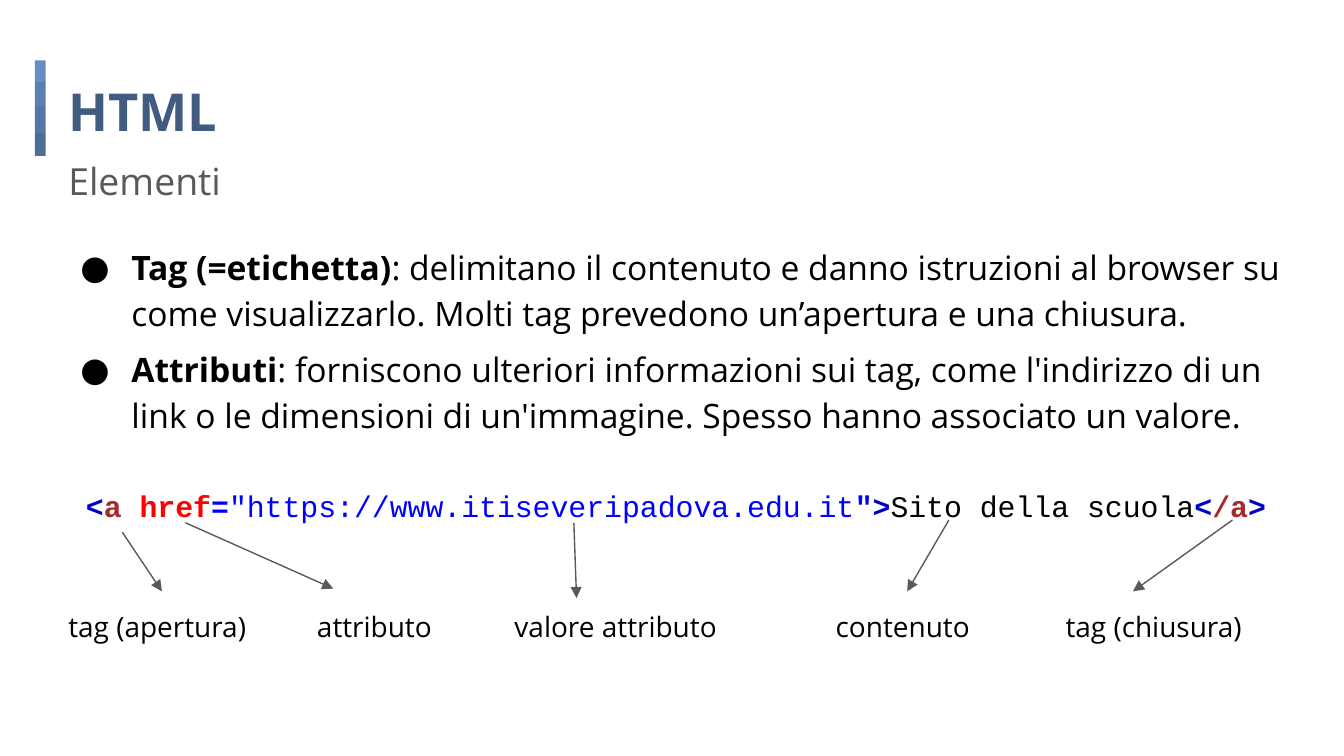
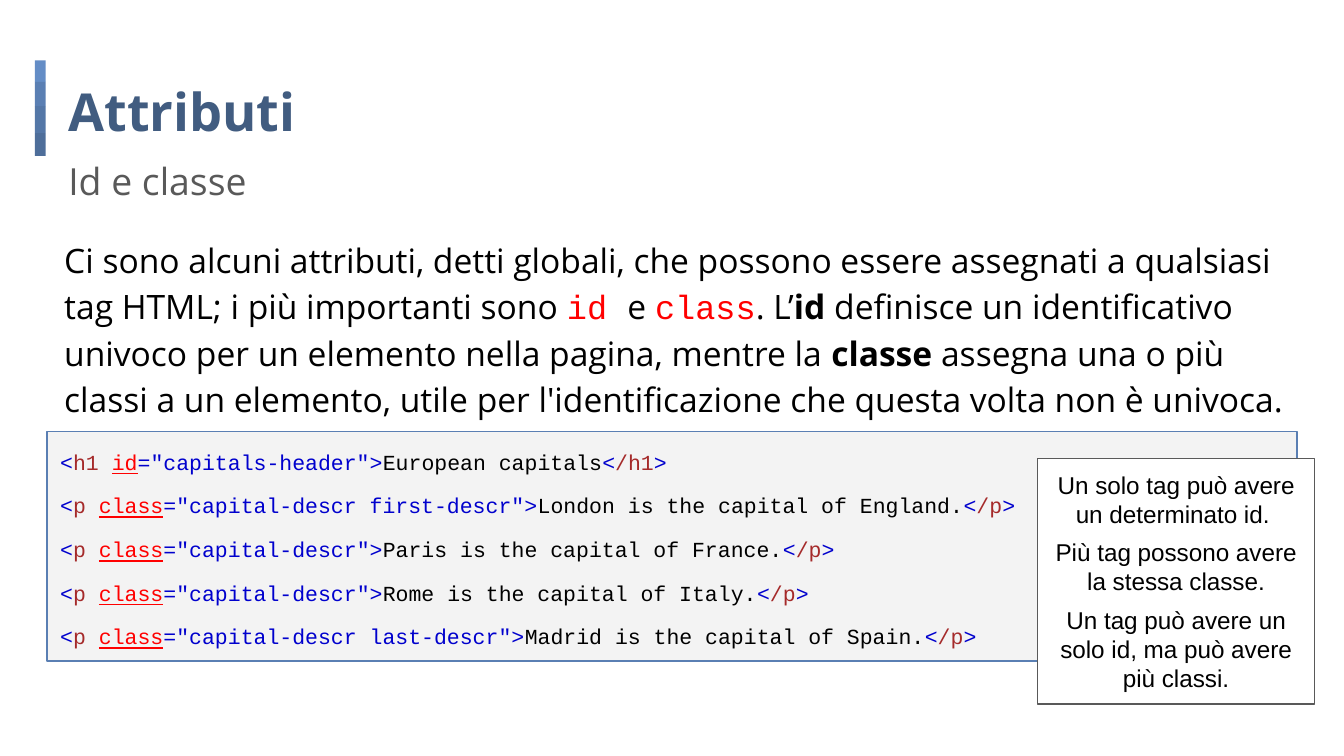
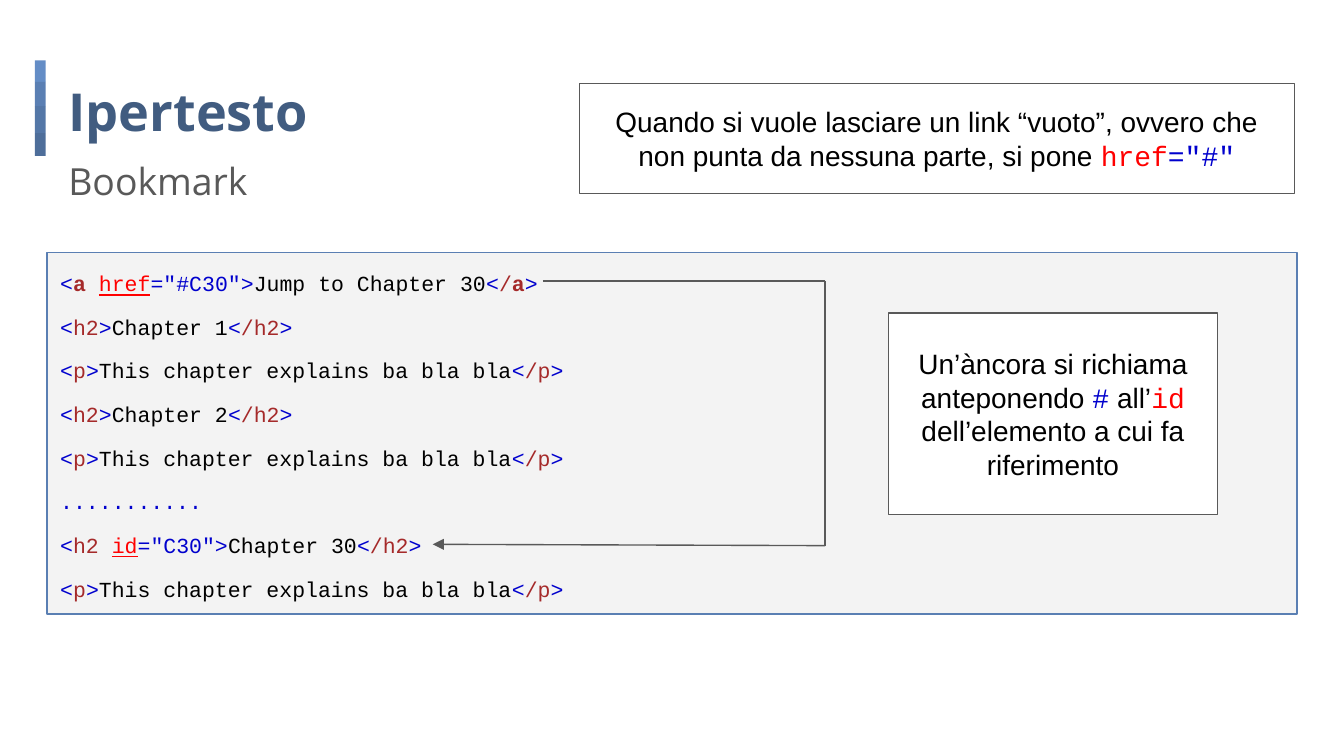
from pptx import Presentation
from pptx.dml.color import RGBColor as RGB
from pptx.enum.shapes import MSO_CONNECTOR as LINK, MSO_SHAPE as SHAPE
from pptx.enum.text import MSO_ANCHOR as ANCHOR, PP_ALIGN as ALIGN
from pptx.oxml.ns import qn
from pptx.util import Inches, Pt
from lxml.etree import SubElement

SANS, MONO, ARIAL = "Open Sans", "Courier New", "Arial"
BLACK, WHITE = RGB(0, 0, 0), RGB(255, 255, 255)
NAVY, GREY, PALE = RGB(0x41, 0x5C, 0x80), RGB(0x59, 0x59, 0x59), RGB(0xF3, 0xF3, 0xF3)
EDGE = RGB(0x5A, 0x7F, 0xB3)
BLUE, PURE = RGB(0, 0, 0xCD), RGB(0, 0, 255)
BROWN, RED = RGB(0xA5, 0x2A, 0x2A), RGB(255, 0, 0)

BAND = [
    (0.16, RGB(0x64, 0x8D, 0xC6)),
    (0.18, EDGE),
    (0.2, RGB(0x54, 0x77, 0xA7)),
    (0.17, RGB(0x4E, 0x6E, 0x9A)),
]

STYLES = {
    "plain": {},
    "bold": {"bold": True},
    "sign": {"color": BLUE},
    "tag": {"color": BROWN},
    "attr": {"color": RED, "underline": True},
    "sign+": {"color": BLUE, "bold": True},
    "tag+": {"color": BROWN, "bold": True},
    "attr+": {"color": RED, "bold": True},
    "url": {"color": PURE},
    "url+": {"color": PURE, "bold": True},
    "red": {"color": RED, "name": MONO},
    "blue": {"color": BLUE, "name": MONO},
}

PARTS = [
    [("Tag (=etichetta)", "bold"),
     (": delimitano il contenuto e danno istruzioni al browser su come visualizzarlo. "
      "Molti tag prevedono un’apertura e una chiusura.", "plain")],
    [("Attributi", "bold"),
     (": forniscono ulteriori informazioni sui tag, come l'indirizzo di un link o le "
      "dimensioni di un'immagine. Spesso hanno associato un valore.", "plain")],
]
ANCHOR_TAG = [
    ("<", "sign+"), ("a ", "tag+"), ("href", "attr+"), ("=", "url+"),
    ('"https://www.itiseveripadova.edu.it', "url"), ('"', "url+"), (">", "sign+"),
    ("Sito della scuola", "plain"), ("<", "sign+"), ("/a", "tag+"), (">", "sign+"),
]
LABELS = [
    ("tag (apertura)", 0.41, 1.59, (0.91, 3.96), None),
    ("attributo", 2.26, 1.09, (1.38, 3.89), (2.48, 4.38)),
    ("valore attributo", 3.73, 1.77, (4.27, 3.89), (4.29, 4.45)),
    ("contenuto", 6.12, 1.26, (7.06, 3.87), None),
    ("tag (chiusura)", 7.83, 1.59, (9.17, 3.87), (8.43, 4.4)),
]

GLOBAL = [
    ("Ci sono alcuni attributi, detti globali, che possono essere assegnati a qualsiasi "
     "tag HTML; i più importanti sono ", "plain"),
    ("id ", "red"), ("e ", "plain"), ("class", "red"), (". L’", "plain"), ("id", "bold"),
    (" definisce un identificativo univoco per un elemento nella pagina, mentre la ", "plain"),
    ("classe ", "bold"),
    ("assegna una o più classi a un elemento, utile per l'identificazione che questa "
     "volta non è univoca.", "plain"),
]
CITIES = [
    ("h1", "European capitals", "id", "capitals-header"),
    ("p", "London is the capital of England.", "class", "capital-descr first-descr"),
    ("p", "Paris is the capital of France.", "class", "capital-descr"),
    ("p", "Rome is the capital of Italy.", "class", "capital-descr"),
    ("p", "Madrid is the capital of Spain.", "class", "capital-descr last-descr"),
]
RULES = [
    "Un solo tag può avere un determinato id. ",
    "Più tag possono avere la stessa classe.",
    "Un tag può avere un solo id, ma può avere più classi.",
]

FILLER = ("p", "This chapter explains ba bla bla")
BOOK = [
    ("a", "Jump to Chapter 30", "href", "#C30"),
    ("h2", "Chapter 1"), FILLER,
    ("h2", "Chapter 2"), FILLER,
    None,
    ("h2", "Chapter 30", "id", "C30"), FILLER,
]
EMPTY = [
    ("Quando si vuole lasciare un link “vuoto”, ovvero che non punta da nessuna parte, "
     "si pone ", "plain"),
    ("href", "red"), ('="#"', "blue"),
]
HASH = [
    ("Un’àncora si richiama anteponendo ", "plain"), ("#", "blue"), (" all’", "plain"),
    ("id", "red"), (" dell’elemento a cui fa riferimento", "plain"),
]
JUMP = [(4.04, 2.09), (6.14, 2.09), (6.14, 4.06), (3.22, 4.05)]


def markup(tag, text, attr="", value=""):
    kind = "tag+" if tag == "a" else "tag"
    runs = [("<", "sign")]
    if attr:
        runs += [(tag + " ", kind), (attr, "attr"), (f'="{value}">', "sign")]
    else:
        runs += [(tag, kind), (">", "sign")]
    return runs + [(text, "plain"), ("<", "sign"), ("/", "tag"), (tag, kind), (">", "sign")]


def listing(rows):
    return [markup(*row) if row else [("." * 11, "sign")] for row in rows]


def bullet(par, size):
    props = par._p.get_or_add_pPr()
    props.set("marL", str(Inches(0.5)))
    props.set("indent", str(-Inches(0.38)))
    tint = SubElement(props, qn("a:buClr"))
    SubElement(tint, qn("a:srgbClr")).set("val", str(BLACK))
    SubElement(props, qn("a:buSzPts")).set("val", str(size * 100))
    SubElement(props, qn("a:buFont")).set("typeface", SANS)
    SubElement(props, qn("a:buChar")).set("char", "●")


def fill_par(par, runs, size, name=SANS, color=BLACK, bold=False, gap=0, lead=1.15,
             align=ALIGN.LEFT, dots=False):
    par.alignment, par.line_spacing = align, lead
    par.space_before = Pt(gap)
    if dots:
        bullet(par, size)
    par.font.size, par.font.bold = Pt(size), bold
    par.font.name, par.font.color.rgb = name, color
    for text, kind in runs:
        run = par.add_run()
        run.text = text
        look = {"color": color, **STYLES[kind]}
        run.font.color.rgb = look.pop("color")
        for key, value in look.items():
            setattr(run.font, key, value)


def write(shape, pars, size, gap=0, anchor=ANCHOR.TOP, **look):
    frame = shape.text_frame
    frame.word_wrap = True
    frame.vertical_anchor = anchor
    frame.margin_left = frame.margin_right = Inches(0.1)
    frame.margin_top = frame.margin_bottom = Inches(0.1)
    for i, runs in enumerate(pars):
        par = frame.add_paragraph() if i else frame.paragraphs[0]
        fill_par(par, runs, size, gap=gap if i else 0, **look)


def text(slide, at, pars, size, **look):
    box = slide.shapes.add_textbox(*map(Inches, at))
    write(box, pars, size, **look)
    return box


def panel(slide, at, fill, edge=None):
    box = slide.shapes.add_shape(SHAPE.RECTANGLE, *map(Inches, at))
    box.shadow.inherit = False
    box.fill.solid()
    box.fill.fore_color.rgb = fill
    if edge:
        box.line.color.rgb, box.line.width = edge, Pt(0.75)
    else:
        box.line.fill.background()
    return box


def code(slide, at, rows):
    write(panel(slide, at, PALE, EDGE), listing(rows), 11.5, name=MONO, gap=7.5)


def note(slide, at, pars, size):
    write(panel(slide, at, WHITE, GREY), pars, size, name=ARIAL, gap=5, lead=1,
          align=ALIGN.CENTER, anchor=ANCHOR.MIDDLE)


def line(slide, start, end, head=True):
    link = slide.shapes.add_connector(LINK.STRAIGHT, *map(Inches, (*start, *end)))
    link.line.color.rgb, link.line.width = GREY, Pt(0.75)
    if head:
        SubElement(link.line._get_or_add_ln(), qn("a:tailEnd")).set("type", "triangle")
    SubElement(link._element.spPr, qn("a:effectLst"))
    return link


def band(slide, layout):
    top = 0.45
    for high, fill in BAND:
        bar = panel(slide, (0.26, top, 0.08, high), fill)
        layout.shapes.element.append(bar.element)
        top += high


def page(deck, title, sub, wide=9.25, side=9.25):
    layout = deck.slide_layouts[5]
    slide = deck.slides.add_slide(layout)
    if len(deck.slides) == 1:
        band(slide, layout)
    head = slide.shapes.title
    head.left, head.top, head.width, head.height = map(Inches, (0.41, 0.49, wide, 0.63))
    write(head, [[(title, "plain")]], 28, color=NAVY, bold=True, lead=1)
    text(slide, (0.41, 1.03, side, 0.49), [[(sub, "plain")]], 20, color=GREY)
    return slide


def parts(deck):
    slide = page(deck, "HTML", "Elementi")
    body = text(slide, (0.38, 1.69, 9.3, 2.45), PARTS, 18, gap=5, dots=True)
    fill_par(body.text_frame.add_paragraph(), ANCHOR_TAG, 16, name=MONO, gap=25,
             align=ALIGN.CENTER)
    for word, left, wide, start, end in LABELS:
        box = text(slide, (left, 4.4, wide, 0.53), [[(word, "plain")]], 15)
        link = line(slide, start, end or (left + wide / 2, 4.4))
        if not end:
            link.end_connect(box, 0)


def names(deck):
    slide = page(deck, "Attributi", "Id e classe")
    text(slide, (0.38, 1.64, 9.3, 1.55), [GLOBAL], 18)
    code(slide, (0.35, 3.21, 9.3, 1.71), CITIES)
    note(slide, (7.72, 3.41, 2.06, 1.83), [[(rule, "plain")] for rule in RULES], 13)


def jumps(deck):
    slide = page(deck, "Ipertesto", "Bookmark", 3.22, 2.26)
    code(slide, (0.35, 1.88, 9.3, 2.69), BOOK)
    note(slide, (6.61, 2.33, 2.45, 1.5), [HASH], 15)
    for start, end in zip(JUMP, JUMP[1:]):
        line(slide, start, end, end == JUMP[-1])
    note(slide, (4.31, 0.62, 5.32, 0.82), [EMPTY], 15)


def main():
    deck = Presentation()
    deck.slide_width = Inches(10)
    deck.slide_height = deck.slide_width * 9 // 16
    for build in (parts, names, jumps):
        build(deck)
    deck.save("out.pptx")


if __name__ == "__main__":
    main()
